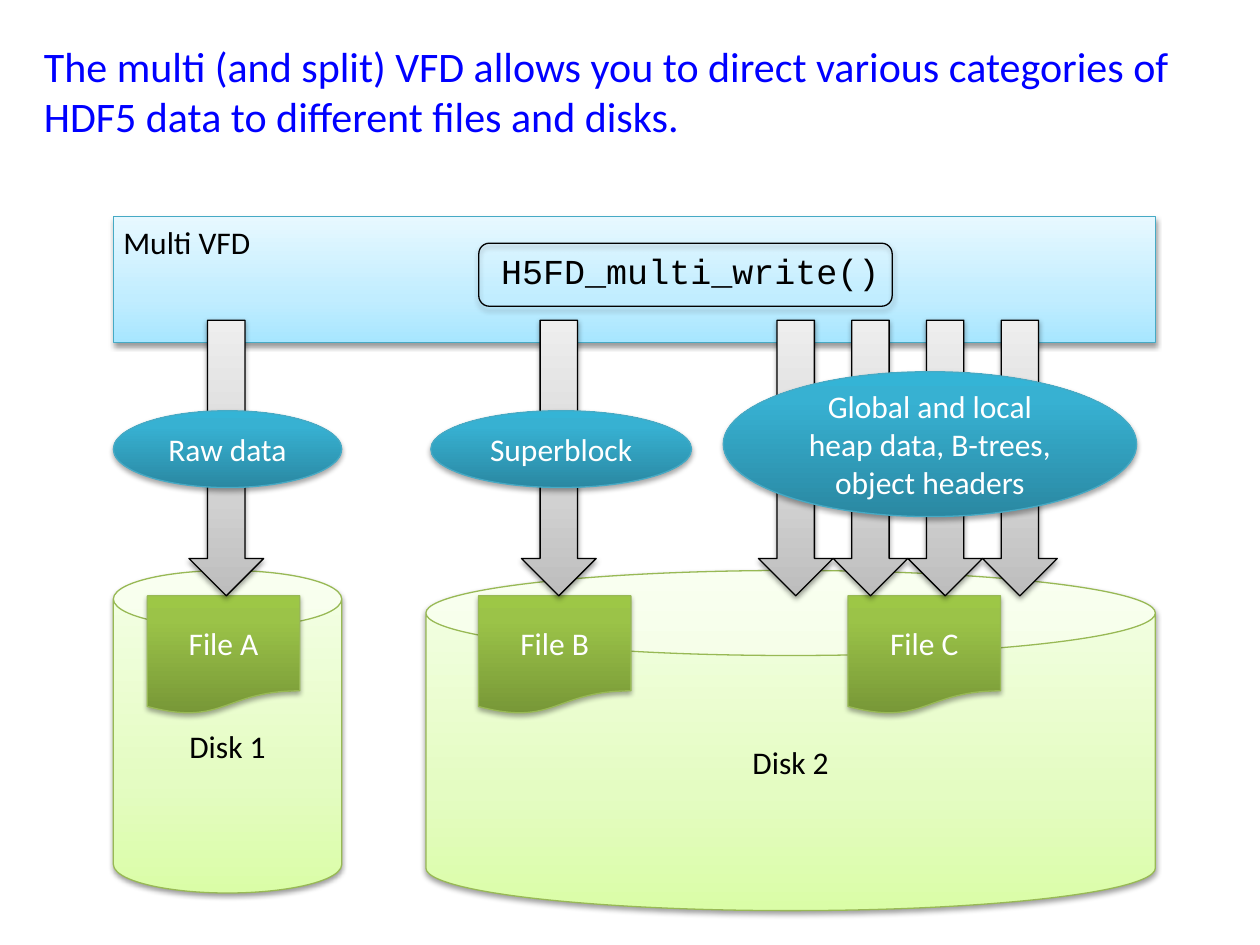
from lxml import etree
from pptx import Presentation
from pptx.dml.color import RGBColor
from pptx.enum.shapes import MSO_SHAPE
from pptx.enum.text import MSO_ANCHOR, PP_ALIGN
from pptx.oxml.ns import qn
from pptx.util import Pt

CAN, RECT, ROUNDED = MSO_SHAPE.CAN, MSO_SHAPE.RECTANGLE, MSO_SHAPE.ROUNDED_RECTANGLE
DOCUMENT, ARROW, OVAL = MSO_SHAPE.FLOWCHART_DOCUMENT, MSO_SHAPE.DOWN_ARROW, MSO_SHAPE.OVAL
CENTER, LEFT, MIDDLE = PP_ALIGN.CENTER, PP_ALIGN.LEFT, MSO_ANCHOR.MIDDLE

COLORS = {"black": "000000", "white": "FFFFFF", "title": "0000FF",
          "green": "98B955", "teal": "46AAC5"}
GRADIENTS = {
    "disk": [(0, "DAFDA7"), (35, "E4FCC2"), (100, "F5FFE7")],
    "driver": [(0, "A7E6FF"), (35, "C1EDFF"), (100, "E7F8FF")],
    "file": [(0, "779737"), (80, "9BC348"), (100, "9DC746")],
    "arrow": [(0, "BDBDBD"), (35, "D1D1D1"), (100, "EEEEEE")],
    "data": [(0, "2A88A2"), (80, "37B1D2"), (100, "34B4D6")],
}

prs = Presentation()
prs.slide_width, prs.slide_height = Pt(720), Pt(540)
slide = prs.slides.add_slide(prs.slide_layouts[6])


def write(shape, text, color, size=18, font="Calibri", align=CENTER):
    shape.text_frame.word_wrap = True
    paragraph = shape.text_frame.paragraphs[0]
    paragraph.text = text
    paragraph.alignment = align
    paragraph.font.size = Pt(size)
    paragraph.font.name = font
    paragraph.font.color.rgb = RGBColor.from_string(COLORS[color])


def add_block(kind, box, gradient, line, text="", color="white", strong=False):
    block = slide.shapes.add_shape(kind, *map(Pt, box))
    block.line.color.rgb = RGBColor.from_string(COLORS[line])
    block.line.width = Pt(0.75)
    if gradient:
        block.fill.gradient()
        block.fill.gradient_angle = 90
        stops = block.element.spPr.find(".//" + qn("a:gsLst"))
        for stop in list(stops):
            stops.remove(stop)
        for position, value in GRADIENTS[gradient]:
            stop = etree.SubElement(stops, qn("a:gs"), pos=str(position * 1000))
            etree.SubElement(stop, qn("a:srgbClr"), val=value)
    else:
        block.fill.background()
    block.shadow.inherit = False
    effects = block.element.spPr.find(qn("a:effectLst"))
    shadow = etree.SubElement(effects, qn("a:outerShdw"), blurRad=str(Pt(3.1)),
                              dist=str(Pt(1.8 if strong else 1.6)),
                              dir="5400000", rotWithShape="0")
    tint = etree.SubElement(shadow, qn("a:srgbClr"), val=COLORS["black"])
    etree.SubElement(tint, qn("a:alpha"), val="35000" if strong else "38000")
    if text:
        block.text_frame.vertical_anchor = MIDDLE
        write(block, text, color)


for name, left, width, height in [("Disk 1", 64.8, 130.5, 184.3), ("Disk 2", 243.4, 416.8, 194.4)]:
    add_block(CAN, (left, 326, width, height), "disk", "green", name, "black")

add_block(RECT, (64.8, 123.8, 595.4, 72), "driver", "teal")

for text, box, color, size, font, align in [
    ("Multi VFD", (63.4, 123.8, 266.4, 29), "black", 18, "Calibri", LEFT),
    ("H5FD_multi_write()", (261.4, 139, 266.4, 31.5), "black", 20, "Courier New", CENTER),
    ("The multi (and split) VFD allows you to direct various categories of "
     "HDF5 data to different files and disks.",
     (18, 19.5, 675.4, 65.5), "title", 24, "Calibri", LEFT),
]:
    write(slide.shapes.add_textbox(*map(Pt, box)), text, color, size, font, align)

add_block(ROUNDED, (273.6, 139, 236.2, 36), None, "black", strong=True)

for name, left in [("File A", 84.2), ("File B", 273.4), ("File C", 484.6)]:
    add_block(DOCUMENT, (left, 340.5, 87.1, 67.7), "file", "green", name, strong=True)

heap_arrows = [433.4 + 42.7 * step for step in range(4)]
for left in [108, 298, *heap_arrows]:
    add_block(ARROW, (left, 183, 42.7, 157.5), "arrow", "black")

for name, box in [
    ("Raw data", (64.8, 234.7, 130.5, 43.9)),
    ("Superblock", (246.2, 234.7, 149, 43.9)),
    ("Global and local heap data, B-trees, object headers", (413.3, 212.4, 236.2, 82.8)),
]:
    add_block(OVAL, box, "data", "teal", name, strong=True)

prs.save("out.pptx")
